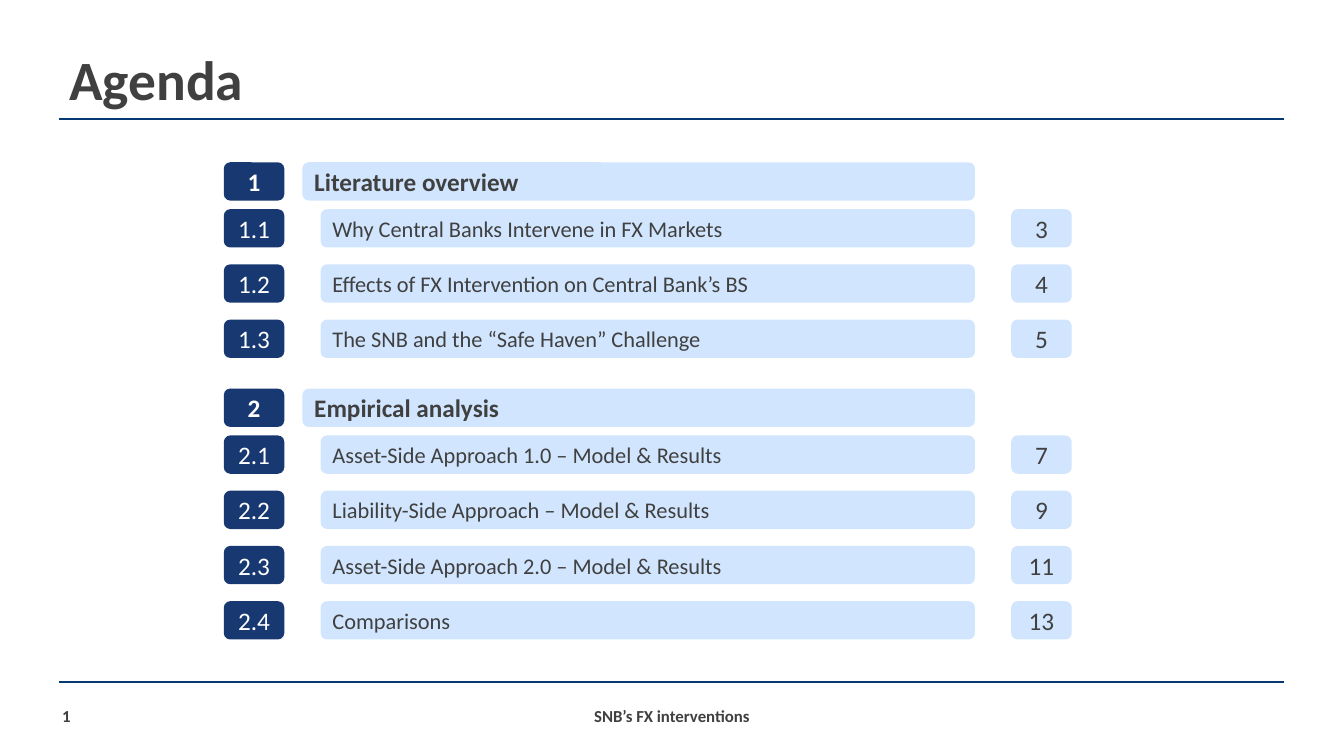
from lxml import etree
from pptx import Presentation
from pptx.dml.color import RGBColor
from pptx.enum.shapes import MSO_CONNECTOR, MSO_SHAPE
from pptx.enum.text import MSO_ANCHOR, PP_ALIGN
from pptx.oxml.ns import qn
from pptx.util import Inches, Pt

NAVY, PALE, GREY, WHITE, RULE = "183871", "D1E6FE", "404040", "FFFFFF", "063871"

AGENDA = [
    (1.61, "Literature overview", [
        ("Why Central Banks Intervene in FX Markets", 3),
        ("Effects of FX Intervention on Central Bank’s BS", 4),
        ("The SNB and the “Safe Haven” Challenge", 5),
    ]),
    (3.855, "Empirical analysis", [
        ("Asset-Side Approach 1.0 – Model & Results", 7),
        ("Liability-Side Approach – Model & Results", 9),
        ("Asset-Side Approach 2.0 – Model & Results", 11),
        ("Comparisons", 13),
    ]),
]
BAR_HEIGHT, BOX_WIDTH = 0.38, 0.6
NUMBER_LEFT, SECTION_LEFT, TOPIC_LEFT, PAGE_LEFT = 2.22, 3, 3.18, 10.03
BAR_RIGHT = 9.67
FIRST_TOPIC_OFFSET, TOPIC_PITCH = 0.465, 0.548


def write(shape, text, size, color=GREY, bold=False, align=PP_ALIGN.LEFT):
    frame = shape.text_frame
    frame.text = text
    frame.word_wrap = True
    frame.vertical_anchor = MSO_ANCHOR.MIDDLE
    paragraph = frame.paragraphs[0]
    paragraph.alignment = align
    font = paragraph.runs[0].font
    font.name = "Calibri"
    font.size = Pt(size)
    font.bold = bold
    font.color.rgb = RGBColor.from_string(color)
    return paragraph


def add_bar(left, top, width, fill, text, size, **style):
    bar = slide.shapes.add_shape(
        MSO_SHAPE.ROUNDED_RECTANGLE,
        Inches(left), Inches(top), Inches(width), Inches(BAR_HEIGHT))
    bar.shadow.inherit = False
    bar.fill.solid()
    bar.fill.fore_color.rgb = RGBColor.from_string(fill)
    bar.line.fill.background()
    write(bar, text, size, **style)


prs = Presentation()
prs.slide_width, prs.slide_height = Inches(13.33), Inches(7.5)
slide = prs.slides.add_slide(prs.slide_layouts[6])

title = slide.shapes.add_textbox(Inches(0.59), Inches(0.45), Inches(11.91), Inches(0.73))
write(title, "Agenda", 39.6, bold=True).line_spacing = 0.9

footer = slide.shapes.add_textbox(Inches(0.59), Inches(6.9), Inches(12.15), Inches(0.4))
write(footer, "SNB’s FX interventions", 12, bold=True, align=PP_ALIGN.CENTER)

slide_number = slide.shapes.add_textbox(Inches(0.16), Inches(6.9), Inches(1), Inches(0.4))
write(slide_number, "1", 12, bold=True, align=PP_ALIGN.CENTER)

for rule_top in (1.18, 6.77):
    rule = slide.shapes.add_connector(
        MSO_CONNECTOR.STRAIGHT,
        Inches(0.59), Inches(rule_top), Inches(12.74), Inches(rule_top))
    rule.line.color.rgb = RGBColor.from_string(RULE)
    rule.line.width = Pt(1.5)
    etree.SubElement(rule._element.spPr, qn("a:effectLst"))

for section, (section_top, heading, topics) in enumerate(AGENDA, 1):
    add_bar(NUMBER_LEFT, section_top, BOX_WIDTH, NAVY, str(section), 18,
            color=WHITE, bold=True, align=PP_ALIGN.CENTER)
    add_bar(SECTION_LEFT, section_top, BAR_RIGHT - SECTION_LEFT, PALE, heading, 18, bold=True)
    for index, (topic, page) in enumerate(topics):
        top = section_top + FIRST_TOPIC_OFFSET + index * TOPIC_PITCH
        add_bar(NUMBER_LEFT, top, BOX_WIDTH, NAVY, f"{section}.{index + 1}", 18,
                color=WHITE, align=PP_ALIGN.CENTER)
        add_bar(TOPIC_LEFT, top, BAR_RIGHT - TOPIC_LEFT, PALE, topic, 16)
        add_bar(PAGE_LEFT, top, BOX_WIDTH, PALE, str(page), 18, align=PP_ALIGN.CENTER)

prs.save("out.pptx")
